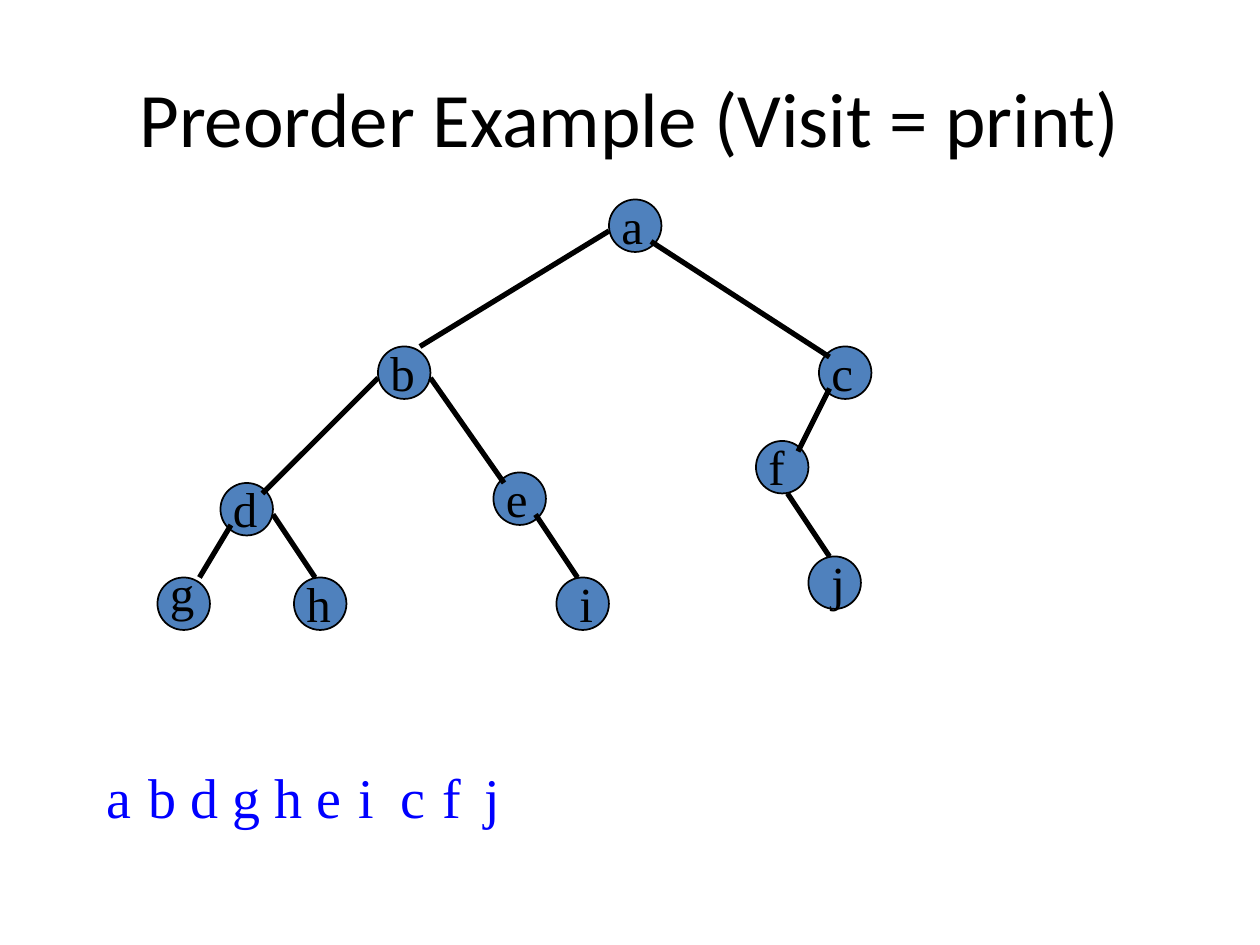
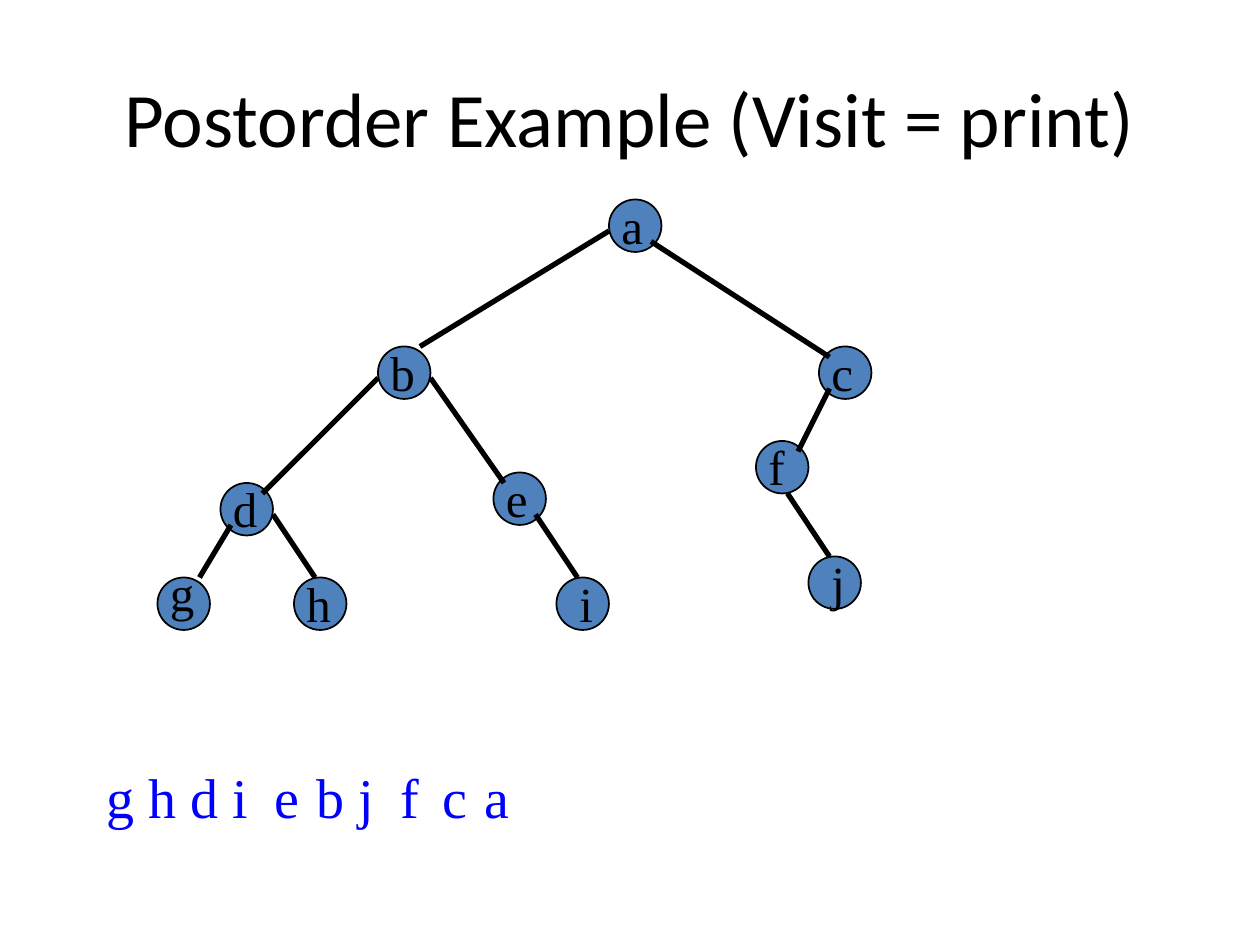
from dataclasses import dataclass

import pptx
import pptx.dml.color
import pptx.enum.shapes
import pptx.enum.text
import pptx.oxml.ns
import pptx.util
from lxml import etree

Pt = pptx.util.Pt
RGB = pptx.dml.color.RGBColor


@dataclass(frozen=True)
class Theme:
    ink: RGB = RGB(0x00, 0x00, 0x00)
    node_fill: RGB = RGB(0x4F, 0x81, 0xBD)
    visited: RGB = RGB(0x00, 0x00, 0xFF)
    title_font: str = "Calibri"
    letter_font: str = "Times New Roman"
    title_size: int = 44
    node_size: int = 28
    visit_size: int = 32
    outline: int = 1
    edge: int = 3


THEME = Theme()
NODE_DIAMETER = 30
TITLE_LAYOUT = 5

# Top left corner of each node, in points
NODES = {
    "a": (348, 114), "b": (216, 198), "c": (468, 198), "d": (126, 276),
    "e": (282, 270), "f": (432, 252), "g": (90, 330), "h": (168, 330),
    "i": (318, 330), "j": (462, 318),
}
# Letters sit slightly above their node's corner, with a few exceptions
LETTER_SHIFT = (0, -6)
SPECIAL_SHIFTS = {"g": (0, -12), "i": (6, -6), "j": (6, -6)}

# Parent end and child end of each edge, in points
EDGES = [
    ((348, 132), (240, 198)),  # a-b
    ((372, 138), (474, 204)),  # a-c
    ((216, 216), (150, 282)),  # b-d
    ((246, 216), (288, 276)),  # b-e
    ((474, 222), (456, 258)),  # c-f
    ((132, 300), (114, 330)),  # d-g
    ((156, 294), (180, 330)),  # d-h
    ((306, 294), (330, 330)),  # e-i
    ((450, 282), (474, 318)),  # f-j
]

TRAVERSALS = [
    ("Preorder Example (Visit = print)", "abdgheicfj"),
    ("Postorder Example (Visit = print)", "ghdiebjfca"),
]


def set_font(paragraph, name, size, color):
    font = paragraph.font
    font.name, font.size = name, Pt(size)
    font.color.rgb = color


def add_title(slide, text):
    title = slide.shapes.title
    title.left, title.top = Pt(36), Pt(21.6)
    title.width, title.height = Pt(648), Pt(90)
    frame = title.text_frame
    frame.text = text
    frame.vertical_anchor = pptx.enum.text.MSO_ANCHOR.MIDDLE
    paragraph = frame.paragraphs[0]
    paragraph.alignment = pptx.enum.text.PP_ALIGN.CENTER
    set_font(paragraph, THEME.title_font, THEME.title_size, THEME.ink)


def add_node(shapes, x, y):
    node = shapes.add_shape(pptx.enum.shapes.MSO_SHAPE.OVAL, Pt(x), Pt(y),
                            Pt(NODE_DIAMETER), Pt(NODE_DIAMETER))
    node.shadow.inherit = False
    node.fill.solid()
    node.fill.fore_color.rgb = THEME.node_fill
    node.line.color.rgb = THEME.ink
    node.line.width = Pt(THEME.outline)


def add_edge(shapes, parent_end, child_end):
    edge = shapes.add_connector(pptx.enum.shapes.MSO_CONNECTOR.STRAIGHT,
                                *map(Pt, parent_end + child_end))
    edge.line.color.rgb = THEME.ink
    edge.line.width = Pt(THEME.edge)
    etree.SubElement(edge._element.spPr, pptx.oxml.ns.qn("a:effectLst"))


def add_letter(shapes, letter, x, y, width, height, size, color):
    frame = shapes.add_textbox(Pt(x), Pt(y), Pt(width), Pt(height)).text_frame
    frame.word_wrap = True
    frame.text = letter
    set_font(frame.paragraphs[0], THEME.letter_font, size, color)


def add_tree(slide):
    shapes = slide.shapes.add_group_shape().shapes
    for x, y in NODES.values():
        add_node(shapes, x, y)
    for parent_end, child_end in EDGES:
        add_edge(shapes, parent_end, child_end)
    for letter, (x, y) in NODES.items():
        dx, dy = SPECIAL_SHIFTS.get(letter, LETTER_SHIFT)
        add_letter(shapes, letter, x + dx, y + dy, 60, 41,
                   THEME.node_size, THEME.ink)


def add_visit_order(slide, letters):
    """Print the letters in a row, one equal step apart."""
    for step, letter in enumerate(letters):
        add_letter(slide.shapes, letter, 54 + 24 * step, 432, 30, 46,
                   THEME.visit_size, THEME.visited)


def main():
    deck = pptx.Presentation()
    deck.slide_width, deck.slide_height = Pt(720), Pt(540)
    for title, letters in TRAVERSALS:
        slide = deck.slides.add_slide(deck.slide_layouts[TITLE_LAYOUT])
        add_title(slide, title)
        add_tree(slide)
        add_visit_order(slide, letters)
    deck.save("out.pptx")


if __name__ == "__main__":
    main()
